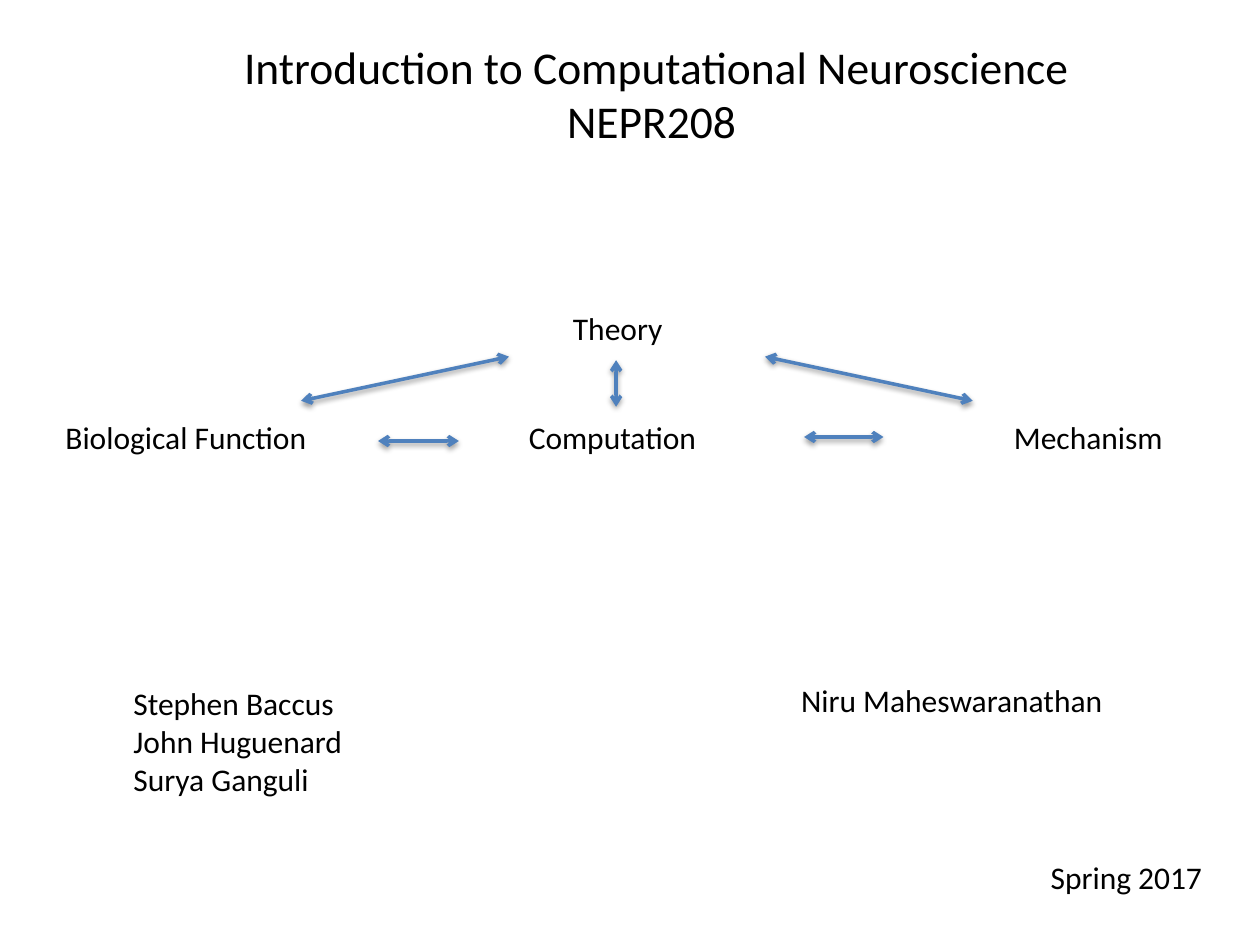
from lxml import etree
from pptx import Presentation
from pptx.dml.color import RGBColor
from pptx.enum.shapes import MSO_CONNECTOR
from pptx.enum.text import PP_ALIGN
from pptx.oxml import parse_xml
from pptx.oxml.ns import nsdecls, qn
from pptx.util import Cm, Pt

STRAIGHT = MSO_CONNECTOR.STRAIGHT
LEFT, CENTER = PP_ALIGN.LEFT, PP_ALIGN.CENTER
FONT = "Calibri"
BLACK, BLUE = "000000", "4F81BD"
LINE_HEIGHT = 1.02  # cm, box around one line of body text

SHADOW = (
    f'<a:effectLst {nsdecls("a")}>'
    '<a:outerShdw blurRad="40000" dist="20000" dir="5400000" rotWithShape="0">'
    f'<a:srgbClr val="{BLACK}"><a:alpha val="38000"/></a:srgbClr>'
    '</a:outerShdw></a:effectLst>'
)


def color(value):
    return RGBColor.from_string(value)


def add_text(slide, box, lines, size=18, align=LEFT, wrap=True):
    """Write one paragraph per line in a (left, top, width, height) box in cm."""
    frame = slide.shapes.add_textbox(*map(Cm, box)).text_frame
    frame.word_wrap = wrap
    for index, line in enumerate(lines):
        paragraph = frame.paragraphs[0] if index == 0 else frame.add_paragraph()
        paragraph.alignment = align
        run = paragraph.add_run()
        run.text = line
        run.font.name = FONT
        run.font.size = Pt(size)
        run.font.color.rgb = color(BLACK)


def add_double_arrow(slide, start, end):
    """Draw a shadowed line with an open arrowhead at each end."""
    arrow = slide.shapes.add_connector(STRAIGHT, *map(Cm, (*start, *end)))
    arrow.line.color.rgb = color(BLUE)
    arrow.line.width = Pt(2)
    outline = arrow.line._get_or_add_ln()
    for tag in ("a:headEnd", "a:tailEnd"):
        etree.SubElement(outline, qn(tag), type="arrow")
    arrow._element.spPr.append(parse_xml(SHADOW))


def add_title(slide, box):
    add_text(slide, box,
             ["Introduction to Computational Neuroscience", "NEPR208 "],
             size=26, align=CENTER)


def add_concept_map(slide, left, top):
    """Place theory above a row of three concepts, linked by arrows."""
    row = 2.21
    concepts = [
        ("Theory", 10.23, 0, 4.8),
        ("Biological Function", 0, row, 10.52),
        ("Computation", 9.34, row, 6.65),
        ("Mechanism", 19.12, row, 4.24),
    ]
    for concept, x, y, width in concepts:
        add_text(slide, (left + x, top + y, width, LINE_HEIGHT), [concept])

    links = [
        ((6.55, 2.79), (8.18, 2.79)),     # function - computation
        ((15.14, 2.71), (16.74, 2.71)),   # computation - mechanism
        ((5, 1.98), (9.19, 1.09)),        # function - theory
        ((18.54, 1.98), (14.35, 1.09)),   # mechanism - theory
        ((11.35, 1.16), (11.35, 2.1)),    # theory - computation
    ]
    for (x1, y1), (x2, y2) in links:
        add_double_arrow(slide, (left + x1, top + y1), (left + x2, top + y2))


def add_credits(slide, left, top):
    """Place the instructors, the assistant and the term."""
    add_text(slide, (left, top + 0.06, 5.61, 3.33),
             ["Stephen Baccus", "John Huguenard", "Surya Ganguli"], wrap=False)
    add_text(slide, (left + 13.46, top, 7.62, LINE_HEIGHT),
             ["Niru Maheswaranathan"], wrap=False)
    add_text(slide, (left + 18.49, top + 3.56, 3.61, LINE_HEIGHT),
             ["Spring 2017"], wrap=False)


def main():
    presentation = Presentation()
    presentation.slide_width = Cm(25.4)
    presentation.slide_height = Cm(19.05)
    slide = presentation.slides.add_slide(presentation.slide_layouts[6])
    add_title(slide, (3.78, 0.66, 18.92, 3.18))
    add_concept_map(slide, 1.07, 6.1)
    add_credits(slide, 2.44, 13.61)
    presentation.save("out.pptx")


if __name__ == "__main__":
    main()
